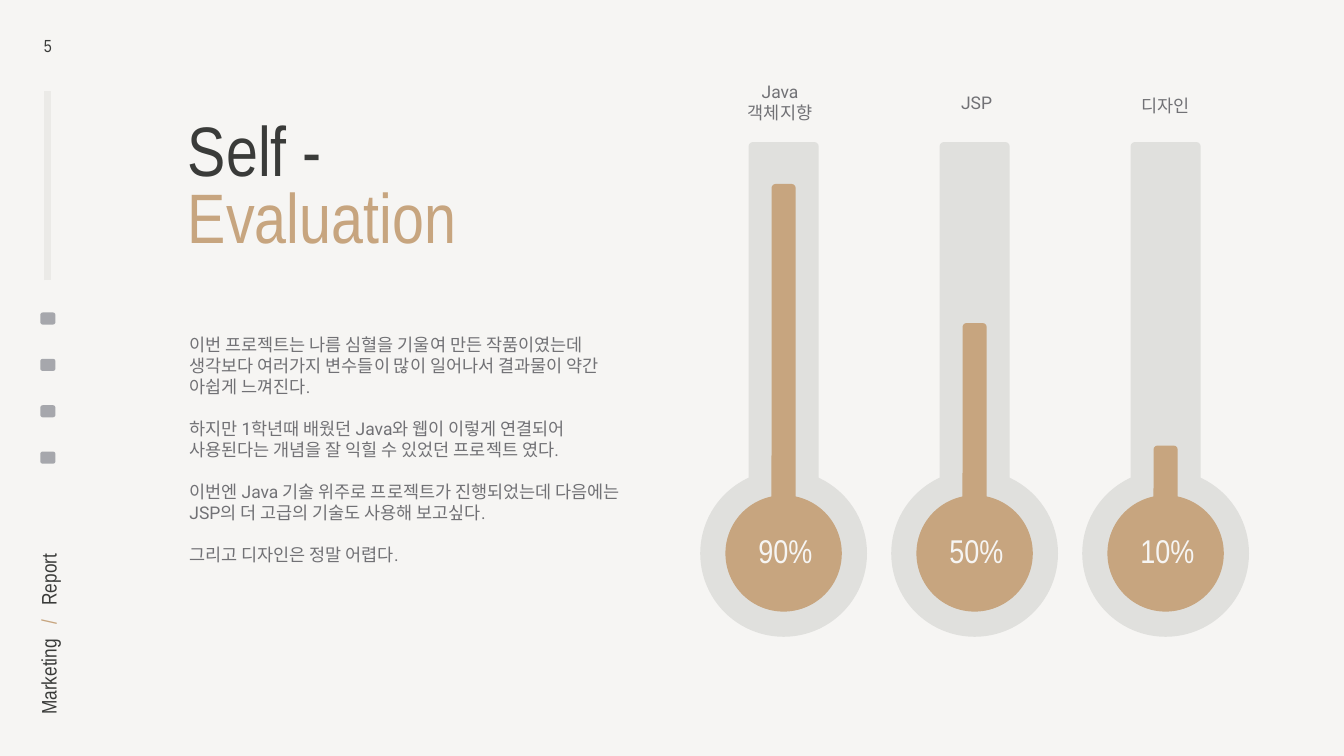
import pptx
import pptx.util
import pptx.dml.color
import pptx.enum.shapes
import pptx.enum.text

KIND = pptx.enum.shapes.MSO_SHAPE
ALIGN = pptx.enum.text.PP_ALIGN
ANCHOR = pptx.enum.text.MSO_ANCHOR

TITLE = [("Self -", "ink"), ("Evaluation", "gold")]
BODY = [
    ("이번 프로젝트는 나름 심혈을 기울여 만든 작품이였는데", 0),
    ("생각보다 여러가지 변수들이 많이 일어나서 결과물이 약간 아쉽게 느껴진다.", 0),
    ("하지만 1학년때 배웠던 Java와 웹이 이렇게 연결되어 사용된다는 개념을 잘 익힐 수 있었던 프로젝트 였다.", 30),
    ("이번엔 Java 기술 위주로 프로젝트가 진행되었는데 다음에는 JSP의 더 고급의 기술도 사용해 보고싶다.", 30),
    ("그리고 디자인은 정말 어렵다.", 30),
]
GAUGES = [
    {"name": ["Java", "객체지향"], "mid": (1548, 202), "value": "90%", "fluid": 629},
    {"name": ["JSP"], "mid": (1938, 203), "value": "50%", "fluid": 353},
    {"name": ["디자인"], "mid": (2313, 209), "value": "10%", "fluid": 110},
]
BRAND = [("Marketing", "ink"), (" ", "ink"), ("/", "gold"), (" ", "ink"), ("Report", "ink")]

THEME = {
    "back": "F6F5F3", "ink": "3A3B39", "gold": "C7A57F", "text": "717175",
    "tube": "E0E0DD", "rule": "EBEAE7", "icon": "A6A7AC",
    "head": "Arial Narrow", "copy": "Roboto",
    "title": 100, "body": 25, "value": 47, "brand": 30,
}
SCALE = 9144
FIRST, PITCH = 1555, 379
BULB, TUBE, BASE = 1098, 282, 994


def px(*nums):
    return [round(num * SCALE) for num in nums]


def color(name):
    return pptx.dml.color.RGBColor.from_string(THEME[name])


def style(font, face, size, tint):
    font.name = THEME[face]
    font.size = pptx.util.Pt(THEME[size])
    font.color.rgb = color(tint)


def setup(frame, anchor=ANCHOR.TOP):
    frame.word_wrap = True
    frame.auto_size = pptx.enum.text.MSO_AUTO_SIZE.NONE
    frame.vertical_anchor = anchor
    inset = px(4)[0]
    frame.margin_left = frame.margin_right = inset
    frame.margin_top = frame.margin_bottom = inset
    return frame


def write(frame, lines, face, size, tint, align=ALIGN.LEFT):
    frame.text = "\n".join(lines)
    for para in frame.paragraphs:
        para.alignment = align
        style(para.font, face, size, tint)


def label(shapes, box, lines, face, size, tint, align=ALIGN.LEFT, anchor=ANCHOR.TOP):
    frame = setup(shapes.add_textbox(*px(*box)).text_frame, anchor)
    write(frame, lines, face, size, tint, align)
    return frame


def block(shapes, kind, box, tint, curve=None):
    shape = shapes.add_shape(kind, *px(*box))
    shape.shadow.inherit = False
    shape.fill.solid()
    shape.fill.fore_color.rgb = color(tint)
    shape.line.fill.background()
    if curve is not None:
        shape.adjustments[0] = curve


def sidebar(shapes):
    for row in range(4):
        block(shapes, KIND.ROUNDED_RECTANGLE, (80, 620 + 92 * row, 30, 24), "icon", 0.2)

    rule = shapes.add_connector(pptx.enum.shapes.MSO_CONNECTOR.STRAIGHT, *px(95, 556, 95, 181))
    rule.line.color.rgb = color("rule")
    rule.line.width = pptx.util.Pt(10)
    rule._element.spPr.append(pptx.oxml.parse_xml(
        '<a:effectLst xmlns:a="http://schemas.openxmlformats.org/drawingml/2006/main"/>'))

    brand = shapes.add_textbox(*px(-99, 1196, 389, 63))
    brand.rotation = 270
    para = setup(brand.text_frame, ANCHOR.MIDDLE).paragraphs[0]
    for text, tint in BRAND:
        run = para.add_run()
        run.text = text
        style(run.font, "head", "brand", tint)
        if text == " ":
            run._r.get_or_add_rPr().set("spc", "1370")

    label(shapes, (47, 66, 96, 54), ["5"], "head", "body", "ink", ALIGN.CENTER)


def heading(shape):
    shape.left, shape.top, shape.width, shape.height = px(369, 240, 830, 364)
    frame = setup(shape.text_frame)
    write(frame, [text for text, tint in TITLE], "head", "title", "ink")
    for para, (text, tint) in zip(frame.paragraphs, TITLE):
        para.font.color.rgb = color(tint)
        para.line_spacing = 0.8
        para.space_before = pptx.util.Pt(0)


def gauge(shapes, mid, item):
    group = shapes.add_group_shape().shapes
    fluid = item["fluid"]
    for size, wide, top, tall, tint, curve in [
        (331, 139, TUBE, 723, "tube", 0.058),
        (231, 48, BASE - fluid, fluid, "gold", 0.168),
    ]:
        block(group, KIND.OVAL, (mid - size / 2, BULB - size / 2, size, size), tint)
        block(group, KIND.ROUNDED_RECTANGLE, (mid - wide / 2, top, wide, tall), tint, curve)
    label(group, (mid - 152, 1048, 311, 141), [item["value"]], "head", "value", "back", ALIGN.CENTER)

    x, y = item["mid"]
    high = 8 + 42 * len(item["name"])
    label(shapes, (x - 80, y - high / 2, 160, high), item["name"],
          "copy", "body", "text", ALIGN.CENTER, ANCHOR.MIDDLE)


def main():
    deck = pptx.Presentation()
    deck.slide_width, deck.slide_height = px(2667, 1500)
    slide = deck.slides.add_slide(deck.slide_layouts[5])
    slide.background.fill.solid()
    slide.background.fill.fore_color.rgb = color("back")

    sidebar(slide.shapes)
    heading(slide.shapes.title)
    body = label(slide.shapes, (372, 659, 875, 655), [text for text, gap in BODY],
                 "copy", "body", "text")
    for para, (text, gap) in zip(body.paragraphs, BODY):
        para.space_before = pptx.util.Pt(gap)
    for col, item in enumerate(GAUGES):
        gauge(slide.shapes, FIRST + PITCH * col, item)
    deck.save("out.pptx")


if __name__ == "__main__":
    main()
